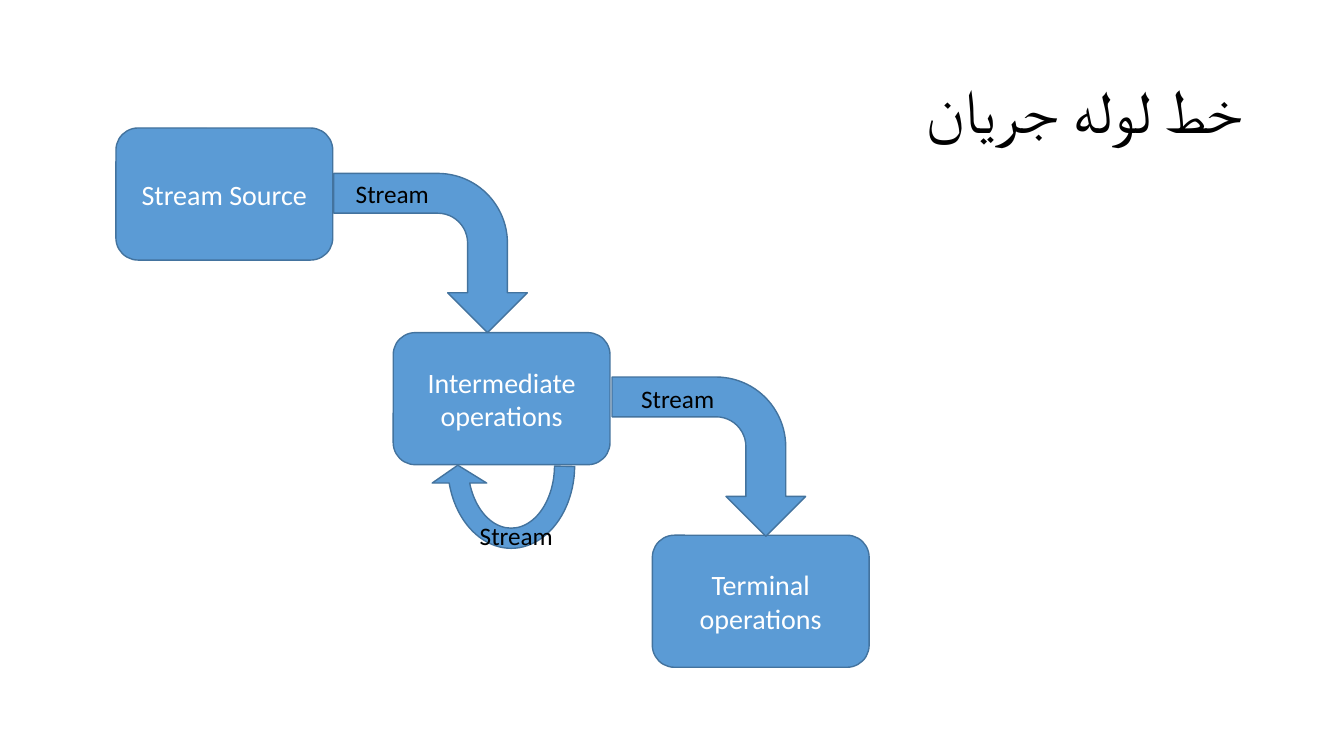
from pptx import Presentation
from pptx.util import Inches, Pt
from pptx.dml.color import RGBColor
from pptx.enum.shapes import MSO_SHAPE
from pptx.enum.text import PP_ALIGN, MSO_ANCHOR, MSO_AUTO_SIZE

BOX = MSO_SHAPE.ROUNDED_RECTANGLE
BEND = MSO_SHAPE.BENT_ARROW
LOOP = MSO_SHAPE.CIRCULAR_ARROW
LEFT, MID, RIGHT = PP_ALIGN.LEFT, PP_ALIGN.CENTER, PP_ALIGN.RIGHT
CENTER = MSO_ANCHOR.MIDDLE
GROW = MSO_AUTO_SIZE.SHAPE_TO_FIT_TEXT

FONT = "Calibri"
BLUE, EDGE, WHITE, BLACK = "5B9BD5", "43739E", "FFFFFF", "000000"
TITLE = "خط لوله جریان"
STEPS = [
    ("Stream Source", 1.15, 1.27),
    ("Intermediate operations", 3.9, 3.3),
    ("Terminal operations", 6.47, 5.31),
]
BENDS = [(3.48, 1.55), (6.24, 3.57)]
TAG = "Stream"
TAGS = [(3.43, 1.72), (6.26, 3.75), (4.66, 5.11)]
ARC = [0.125, 11.423, 204.577, 108.704, 0.169]


def color(code):
    return RGBColor.from_string(code)


def write(frame, text, size, code, align):
    para = frame.paragraphs[0]
    para.alignment = align
    run = para.add_run()
    run.text = text
    run.font.name = FONT
    run.font.size = Pt(size)
    run.font.color.rgb = color(code)
    return para


def draw(kind, left, top, wide, high, turn=0):
    shape = slide.shapes.add_shape(
        kind, Inches(left), Inches(top), Inches(wide), Inches(high))
    shape.rotation = turn
    shape.shadow.inherit = False
    shape.fill.solid()
    shape.fill.fore_color.rgb = color(BLUE)
    shape.line.color.rgb = color(EDGE)
    shape.line.width = Pt(1)
    return shape


def label(left, top, wide, high):
    return slide.shapes.add_textbox(
        Inches(left), Inches(top), Inches(wide), Inches(high)).text_frame


deck = Presentation()
deck.slide_width, deck.slide_height = Inches(13.33), Inches(7.5)
slide = deck.slides.add_slide(deck.slide_layouts[6])

head = label(0.92, 0.4, 11.5, 1.45)
head.word_wrap = True
head.vertical_anchor = CENTER
para = write(head, TITLE, 44, BLACK, RIGHT)
para.line_spacing = 0.9
para._p.get_or_add_pPr().set("rtl", "1")

for text, left, top in STEPS:
    frame = draw(BOX, left, top, 2.15, 1.31).text_frame
    frame.word_wrap = True
    frame.vertical_anchor = CENTER
    write(frame, text, 20, WHITE, MID)

for left, top in BENDS:
    draw(BEND, left, top, 1.58, 1.92, 90)

loop = draw(LOOP, 4.27, 3.62, 1.6, 1.99, 180)
for i, value in enumerate(ARC):
    loop.adjustments[i] = value

for left, top in TAGS:
    frame = label(left, top, 0.93, 0.4)
    frame.word_wrap = False
    frame.auto_size = GROW
    write(frame, TAG, 18, BLACK, LEFT)

deck.save("out.pptx")
